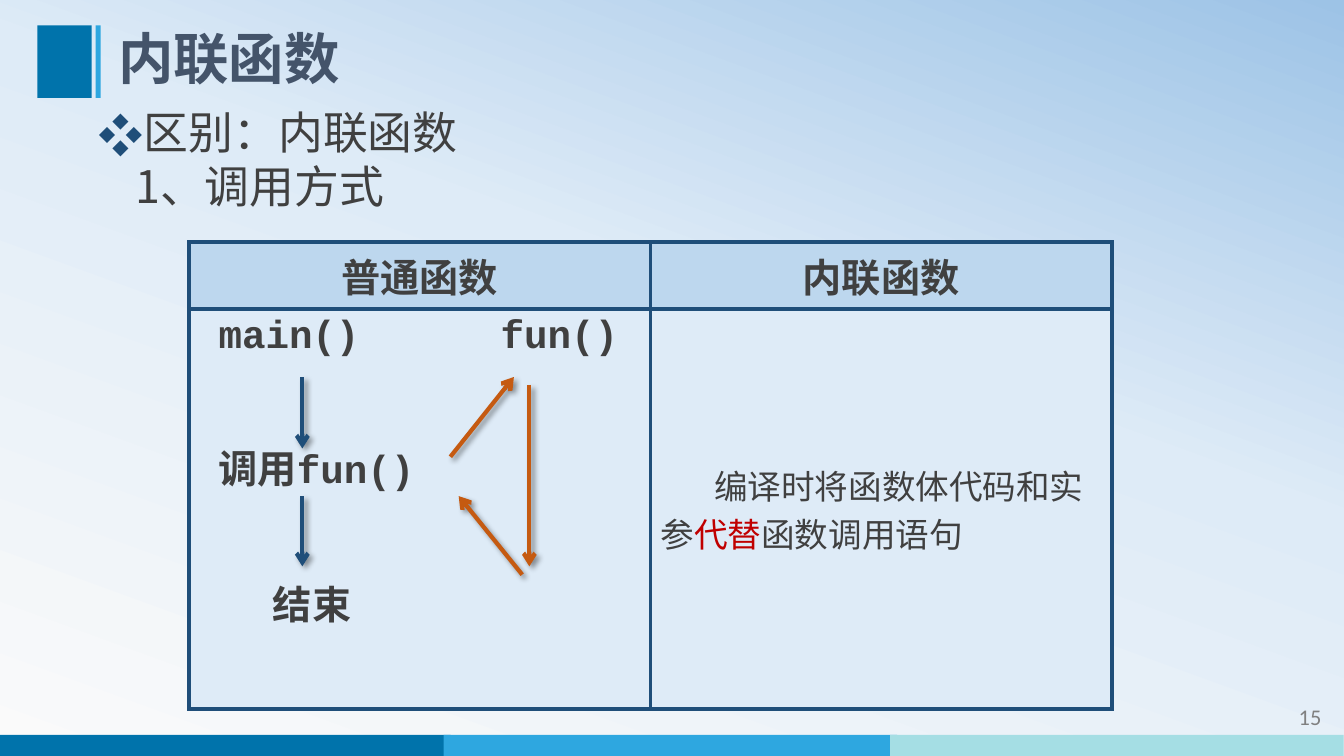
from copy import deepcopy
from lxml import etree
from pptx import Presentation
from pptx.dml import color
from pptx.enum import shapes, text
from pptx.oxml import ns
from pptx.util import Cm, Pt

HUES = {
    "deep": "0073AB", "sky": "2EA7E0", "aqua": "A5DEE4", "navy": "1F4E79",
    "rust": "C55A11", "ink": "404040", "slate": "44546A", "gray": "808080",
    "red": "C00000", "head": "BDD7EE", "pale": "DEEBF7", "white": "FAFAFA",
    "blue": "9DC3E6", "black": "000000",
}
SANS = "Noto Sans CJK SC"
MONO = "Courier New"


def rgb(hue):
    return color.RGBColor.from_string(HUES[hue])


def node(top, tag, **attrs):
    item = etree.SubElement(top, ns.qn("a:" + tag))
    for key, value in attrs.items():
        item.set(key, str(value))
    return item


def style(para, size, hue, bold=False, face=SANS):
    for run in para.runs:
        font = run.font
        font.size, font.bold, font.name = Pt(size), bold, face
        font.color.rgb = rgb(hue)
        node(font._element, "ea", typeface=SANS)


def place(shape, box):
    shape.left, shape.top, shape.width, shape.height = map(Cm, box)


def block(slide, box, hue):
    shape = slide.shapes.add_shape(shapes.MSO_SHAPE.RECTANGLE, *map(Cm, box))
    shape.shadow.inherit = False
    shape.fill.solid()
    shape.fill.fore_color.rgb = rgb(hue)
    shape.line.fill.background()


def backdrop(slide):
    fill = slide.background.fill
    fill.gradient()
    fill.gradient_angle = 70
    stops = slide._element.find(".//" + ns.qn("a:gsLst"))
    stops.append(deepcopy(stops[0]))
    marks = [(0, "white"), (0.58, "pale"), (1, "blue")]
    for stop, (pos, hue) in zip(fill.gradient_stops, marks):
        stop.position = pos
        stop.color.rgb = rgb(hue)


def footer(slide, box):
    x, y, w, h = box
    for i, hue in enumerate(("deep", "sky", "aqua")):
        block(slide, (x + i * 11.25, y, w / 3, h), hue)
    label = slide.shapes.add_textbox(*map(Cm, (29.51, y - 0.97, 4.04, 1.02)))
    frame = label.text_frame
    frame.word_wrap = True
    frame.vertical_anchor = text.MSO_ANCHOR.MIDDLE
    frame.text = "15"
    para = frame.paragraphs[0]
    para.alignment = text.PP_ALIGN.RIGHT
    style(para, 16, "gray", face="Calibri")


def header(slide, box):
    x, y, w, h = box
    block(slide, (x, y, 1.37, h), "deep")
    block(slide, (x + 1.47, y, 0.13, h), "sky")
    title = slide.shapes.title
    place(title, (x + 1.78, y, w - 1.78, h))
    frame = title.text_frame
    frame.text = "内联函数"
    frame.vertical_anchor = text.MSO_ANCHOR.MIDDLE
    para = frame.paragraphs[0]
    para.alignment = text.PP_ALIGN.LEFT
    para.line_spacing = 0.9
    style(para, 39.6, "slate", True)


def points(slide, box):
    body = slide.placeholders[1]
    place(body, box)
    frame = body.text_frame
    frame.auto_size = text.MSO_AUTO_SIZE.NONE
    frame.text = "区别：内联函数\n1、调用方式"
    first, second = frame.paragraphs
    second.level = 1
    for para, left, hang, gap in ((first, 0.25, -0.25, 0), (second, 0.36, 0, 4)):
        props = para._p.get_or_add_pPr()
        props.set("marL", str(Cm(left * 2.54)))
        props.set("indent", str(Cm(hang * 2.54)))
        if para is first:
            tint = node(props, "buClr")
            node(tint, "srgbClr", val=HUES["navy"])
            node(props, "buFont", typeface=SANS)
            node(props, "buChar", char="❖")
        else:
            node(props, "buNone")
        para.line_spacing = 0.9
        para.space_before = Pt(gap)
        style(para, 32, "ink")


def border(cell, inner):
    props = cell._tc.get_or_add_tcPr()
    for side in "LRTB":
        width = 2 if side == inner else 3
        line = node(props, "ln" + side, w=Pt(width))
        node(node(line, "solidFill"), "srgbClr", val=HUES["navy"])


def grid(slide, box):
    x, y, w, h = box
    table = slide.shapes.add_table(2, 2, *map(Cm, box)).table
    table.first_row = table.horz_banding = False
    table.rows[0].height, table.rows[1].height = Cm(1.68), Cm(h - 1.68)
    for i in range(2):
        table.columns[i].width = Cm(w / 2)
        for j, hue in enumerate(("head", "pale")):
            cell = table.cell(j, i)
            border(cell, "RL"[i])
            cell.fill.solid()
            cell.fill.fore_color.rgb = rgb(hue)
        top = table.cell(0, i)
        top.text_frame.text = ("普通函数", "内联函数")[i]
        para = top.text_frame.paragraphs[0]
        para.alignment = text.PP_ALIGN.CENTER
        style(para, 28, "ink", True)
    note = table.cell(1, 1)
    note.vertical_anchor = text.MSO_ANCHOR.MIDDLE
    para = note.text_frame.paragraphs[0]
    para._p.get_or_add_pPr().set("indent", str(Cm(1.35)))
    for part in ("编译时将函数体代码和实参", "代替", "函数调用语句"):
        para.add_run().text = part
    style(para, 24, "ink")
    para.runs[1].font.color.rgb = rgb("red")


def arrow(slide, start, end, hue):
    line = slide.shapes.add_connector(
        shapes.MSO_CONNECTOR.STRAIGHT, *map(Cm, start + end))
    line.line.width = Pt(3)
    line.line.color.rgb = rgb(hue)
    node(line.line._get_or_add_ln(), "tailEnd", type="arrow")
    effect = node(line._element.spPr, "effectLst")
    shade = node(effect, "outerShdw", blurRad=Pt(4), dist=Pt(3),
                 dir=45 * 60000, algn="tl", rotWithShape=0)
    tint = node(shade, "srgbClr", val=HUES["black"])
    node(tint, "alpha", val=40000)


def flow(slide, box):
    x, y, w, h = box
    frame = slide.shapes.add_textbox(*map(Cm, box)).text_frame
    frame.word_wrap = True
    frame.text = "main()\tfun()\n调用fun()\n结束"
    for i, para in enumerate(frame.paragraphs):
        props = para._p.get_or_add_pPr()
        if i == 0:
            node(node(props, "tabLst"), "tab", pos=Cm(7.11), algn="l")
        else:
            para.space_before = Pt(63)
        if i == 2:
            props.set("marL", str(Cm(1.37)))
        style(para, 28, "ink", True, MONO)
    for ax, ay, bx, by, hue in (
        (2.36, 1.83, 2.36, 3.63, "navy"),
        (2.36, 4.83, 2.36, 6.6, "navy"),
        (6.09, 3.84, 7.69, 1.83, "rust"),
        (8.08, 2.03, 8.08, 6.6, "rust"),
        (7.9, 6.81, 6.3, 4.83, "rust"),
    ):
        arrow(slide, (x + ax, y + ay), (x + bx, y + by), hue)


def main():
    deck = Presentation()
    deck.slide_width, deck.slide_height = Cm(33.87), Cm(19.05)
    slide = deck.slides.add_slide(deck.slide_layouts[1])
    backdrop(slide)
    footer(slide, (-0.07, 18.52, 34.29, 0.53))
    header(slide, (0.94, 0.64, 29.36, 1.83))
    points(slide, (2.24, 2.67, 28.27, 3.43))
    grid(slide, (4.76, 6.1, 23.26, 11.77))
    flow(slide, (5.26, 7.67, 10.74, 8.64))
    deck.save("out.pptx")


if __name__ == "__main__":
    main()
